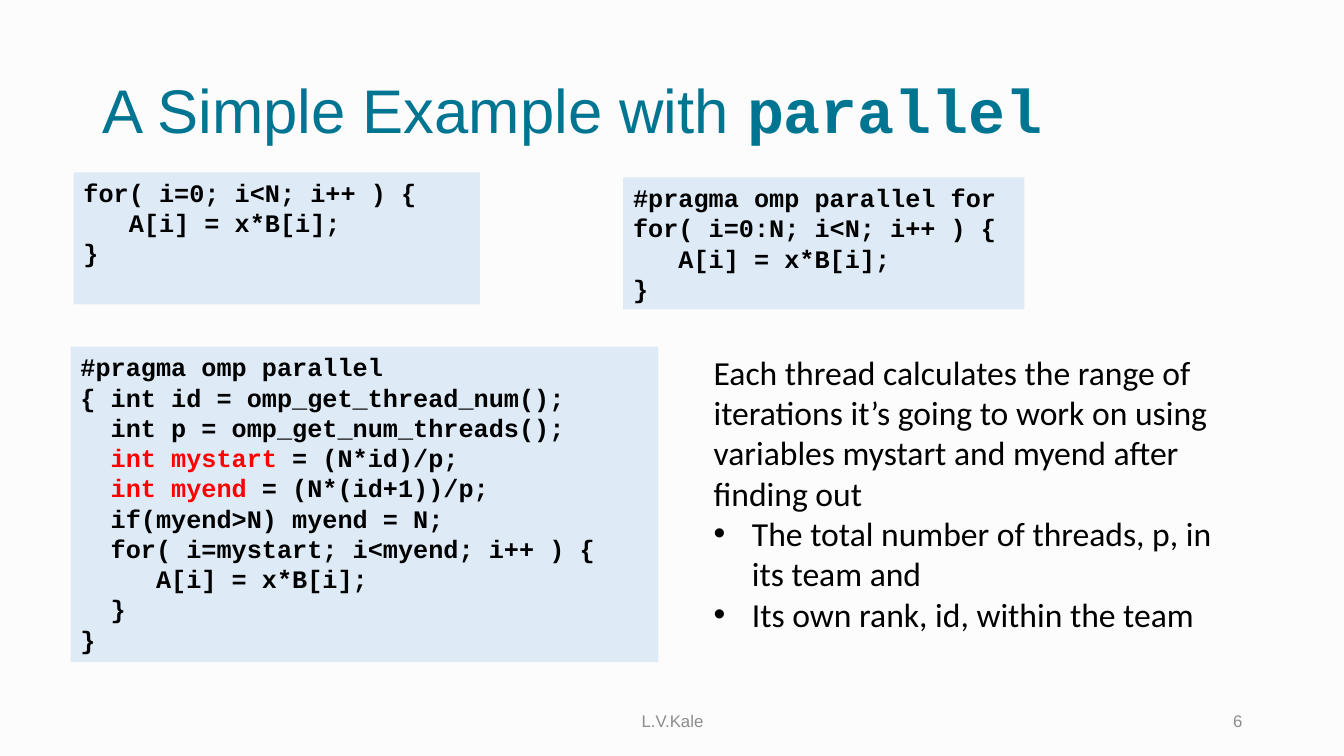
"""Builds the slide 'A Simple Example with parallel'."""
from lxml import etree
from pptx import Presentation, util as u
from pptx.dml.color import RGBColor
from pptx.enum import shapes, text
from pptx.oxml.ns import qn

TEAL, GREY, PALE, BLACK, RED = "007592", "8C8C8C", "DEEBF7", "000000", "FF0000"
MIDDLE, TOP = text.MSO_ANCHOR.MIDDLE, text.MSO_ANCHOR.TOP
LEFT, CENTER, RIGHT = text.PP_ALIGN.LEFT, text.PP_ALIGN.CENTER, text.PP_ALIGN.RIGHT


def color(value):
    return RGBColor.from_string(value)


def write(box, lines, face, size, ink, spacing=None, align=LEFT, anchor=TOP, bold=False):
    frame = box.text_frame
    frame.word_wrap = True
    frame.vertical_anchor = anchor
    for number, line in enumerate(lines):
        para = frame.paragraphs[0] if number == 0 else frame.add_paragraph()
        para.alignment = align
        para.line_spacing = spacing
        para.font.name, para.font.size, para.font.bold = face, u.Pt(size), bold
        para.font.color.rgb = color(ink)
        for part in [line] if isinstance(line, str) else line:
            para.add_run().text = part
    return frame.paragraphs


deck = Presentation()
deck.slide_width, deck.slide_height = u.Inches(13.33), u.Inches(7.5)
page = deck.slides.add_slide(deck.slide_layouts[6])
page.background.fill.solid()
page.background.fill.fore_color.rgb = color("FCFCFC")

title = page.shapes.add_textbox(*map(u.Inches, (0.92, 0.4, 11.5, 1.45)))
heading = write(title, [["A Simple Example with ", "parallel"]], "Arial", 44, TEAL, 0.9, anchor=MIDDLE)
keyword = heading[0].runs[1]
keyword.font.name, keyword.font.bold = "Courier New", True

footers = [("L.V.Kale", 4.42, 4.5, CENTER), ("6", 9.42, 3, RIGHT)]
for label, left, width, align in footers:
    footer = page.shapes.add_textbox(*map(u.Inches, (left, 6.95, width, 0.4)))
    write(footer, [label], "Arial", 12, GREY, align=align, anchor=MIDDLE)

serial_loop = ["for( i=0; i<N; i++ ) {", "   A[i] = x*B[i];", "}"]
manual_split = [
    "#pragma omp parallel ",
    "{ int id = omp_get_thread_num();",
    "  int p = omp_get_num_threads();",
    ["  ", "int mystart", " = (N*id)/p;"],
    ["  ", "int myend", " = (N*(id+1))/p;"],
    "  if(myend>N) myend = N;",
    "  for( i=mystart; i<myend; i++ ) {",
    "     A[i] = x*B[i];",
    "  }",
    "}",
]
parallel_for = ["#pragma omp parallel for ", "for( i=0:N; i<N; i++ ) {", "   A[i] = x*B[i];", "}"]
listings = [
    (serial_loop, 0.73, 1.71, 4.03, 1.31),
    (manual_split, 0.7, 3.44, 5.83, 3.13),
    (parallel_for, 6.18, 1.76, 3.98, 1.31),
]
for code, *place in listings:
    box = page.shapes.add_shape(shapes.MSO_SHAPE.RECTANGLE, *map(u.Inches, place))
    box.shadow.inherit = False
    box.fill.solid()
    box.fill.fore_color.rgb = color(PALE)
    box.line.fill.background()
    for para in write(box, code, "Courier New", 18, BLACK, u.Pt(21.6), bold=True):
        for span in para.runs[1:2]:
            span.font.color.rgb = color(RED)

explanation = [
    "Each thread calculates the range of iterations it’s going to work on using "
    "variables mystart and myend after finding out",
    "The total number of threads, p, in its team and",
    "Its own rank, id, within the team",
]
notes = page.shapes.add_textbox(*map(u.Inches, (6.98, 3.44, 5.2, 2.93)))
for para in write(notes, explanation, "Calibri", 24, BLACK, u.Pt(28.8))[1:]:
    props = para._p.get_or_add_pPr()
    props.set("marL", str(u.Inches(0.38)))
    props.set("indent", str(u.Inches(-0.38)))
    bullet_font = etree.Element(qn("a:buFont"), typeface="Arial")
    bullet = etree.Element(qn("a:buChar"), char="•")
    props.find(qn("a:defRPr")).addprevious(bullet_font)
    bullet_font.addnext(bullet)

deck.save("out.pptx")
